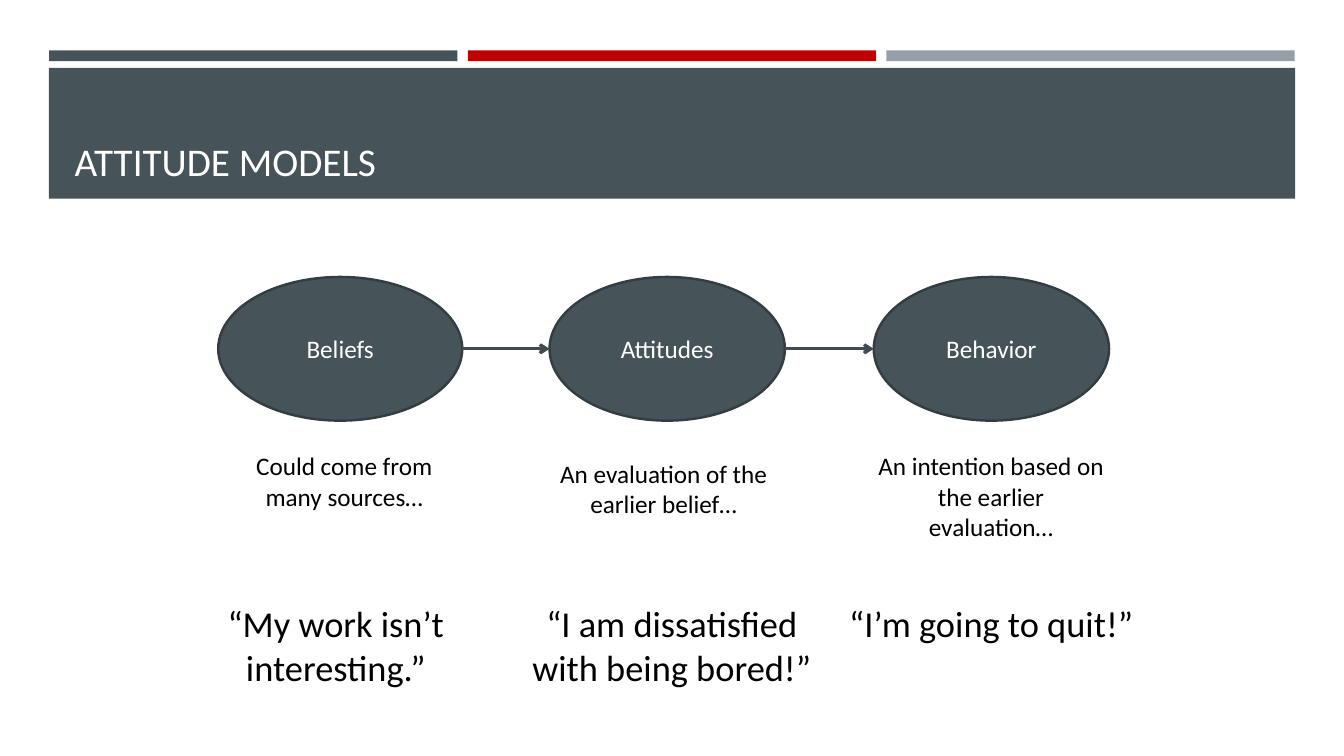
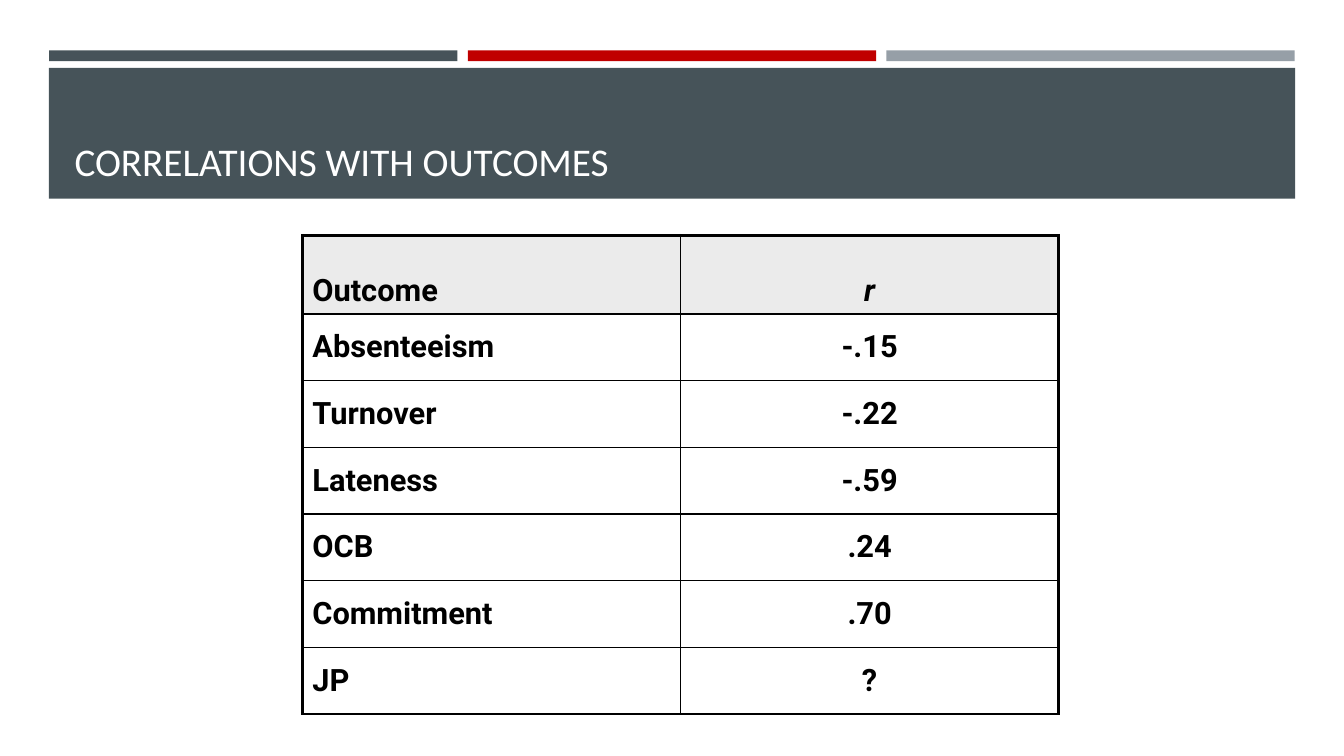
from pptx import Presentation
from pptx.dml.color import RGBColor
from pptx.enum.shapes import MSO_CONNECTOR, MSO_SHAPE
from pptx.enum.text import MSO_ANCHOR, PP_ALIGN
from pptx.oxml.ns import qn
from pptx.util import Cm, Pt
from lxml.etree import SubElement

SLATE = RGBColor(0x46, 0x53, 0x59)
OUTLINE = RGBColor(0x34, 0x3D, 0x42)
ARROW = RGBColor(0x3F, 0x4B, 0x50)
RED = RGBColor(0xC0, 0x00, 0x00)
GREY = RGBColor(0x96, 0x9F, 0xA7)
PALE = RGBColor(0xEB, 0xEB, 0xEB)
WHITE = RGBColor(0xFF, 0xFF, 0xFF)
BLACK = RGBColor(0x00, 0x00, 0x00)

BODY_FONT = "Calibri"
TABLE_FONT = "Roboto"

MODELS_TITLE = "ATTITUDE MODELS"
# name, oval left and width, note, note left and top, quote, quote left (cm)
STAGES = [
    ("Beliefs", 5.5, 6.15,
     "Could come from many sources…", 5.5, 11.23,
     "“My work isn’t interesting.”", 4.23),
    ("Attitudes", 13.85, 5.93,
     "An evaluation of the earlier belief…", 13.55, 11.43,
     "“I am dissatisfied with being bored!”", 12.7),
    ("Behavior", 22.02, 5.93,
     "An intention based on the earlier evaluation…", 21.8, 11.23,
     "“I’m going to quit!”", 20.75),
]
OVAL_TOP, OVAL_HEIGHT = 6.98, 3.62
NOTE_WIDTH, NOTE_HEIGHT = 6.35, 1.8
QUOTE_TOP, QUOTE_WIDTH, QUOTE_HEIGHT = 15.03, 8.47, 2.48

OUTCOMES_TITLE = "CORRELATIONS WITH OUTCOMES"
OUTCOMES = [
    ("Outcome", "r"),
    ("Absenteeism", "-.15"),
    ("Turnover", "-.22"),
    ("Lateness", "-.59"),
    ("OCB", ".24"),
    ("Commitment", ".70"),
    ("JP", "?"),
]
COLUMN_WIDTH, HEADER_HEIGHT, ROW_HEIGHT = 9.53, 1.98, 1.68
THICK, THIN = Pt(2.25), Pt(1)


def write(tf, text, size, color, font=BODY_FONT, align=PP_ALIGN.CENTER):
    p = tf.paragraphs[0]
    p.alignment = align
    r = p.add_run()
    r.text = text
    r.font.name = font
    r.font.size = Pt(size)
    r.font.color.rgb = color
    return r


def add_text(slide, box, text, size, color=BLACK, align=PP_ALIGN.CENTER,
             anchor=MSO_ANCHOR.TOP):
    tf = slide.shapes.add_textbox(*map(Cm, box)).text_frame
    tf.word_wrap = True
    tf.vertical_anchor = anchor
    write(tf, text, size, color, align=align)


def add_filled(slide, kind, box, fill):
    sp = slide.shapes.add_shape(kind, *map(Cm, box))
    sp.shadow.inherit = False
    sp.fill.solid()
    sp.fill.fore_color.rgb = fill
    sp.line.fill.background()
    return sp


def add_titled_slide(prs, title):
    """Add a blank slide with the three stripes and the title band."""
    slide = prs.slides.add_slide(prs.slide_layouts[6])
    for i, color in enumerate((SLATE, RED, GREY)):
        add_filled(slide, MSO_SHAPE.RECTANGLE,
                   (1.24 + i * 10.55, 1.27, 10.29, 0.27), color)
    add_filled(slide, MSO_SHAPE.RECTANGLE, (1.23, 1.71, 31.41, 3.3), SLATE)
    add_text(slide, (1.63, 1.96, 30.63, 2.82), title, 28, WHITE,
             PP_ALIGN.LEFT, MSO_ANCHOR.BOTTOM)
    return slide


def add_oval(slide, name, left, width):
    sp = add_filled(slide, MSO_SHAPE.OVAL,
                    (left, OVAL_TOP, width, OVAL_HEIGHT), SLATE)
    sp.line.color.rgb = OUTLINE
    sp.line.width = Pt(1.75)
    tf = sp.text_frame
    tf.word_wrap = True
    tf.vertical_anchor = MSO_ANCHOR.MIDDLE
    write(tf, name, 18, WHITE)


def add_arrow(slide, start, end):
    y = Cm(OVAL_TOP + OVAL_HEIGHT / 2)
    line = slide.shapes.add_connector(
        MSO_CONNECTOR.STRAIGHT, Cm(start), y, Cm(end), y)
    line.line.color.rgb = ARROW
    line.line.width = Pt(2.25)
    SubElement(line.line._get_or_add_ln(), qn("a:tailEnd"), type="arrow")
    SubElement(line._element.spPr, qn("a:effectLst"))


def set_borders(cell, **widths):
    """Draw black borders; widths are keyed L, R, T, B in that order."""
    tcPr = cell._tc.get_or_add_tcPr()
    for side, width in widths.items():
        ln = SubElement(tcPr, qn(f"a:ln{side}"), w=str(int(width)))
        fill = SubElement(ln, qn("a:solidFill"))
        SubElement(fill, qn("a:srgbClr"), val=str(BLACK))


def build_models(prs):
    slide = add_titled_slide(prs, MODELS_TITLE)
    for name, left, width, note, note_left, note_top, quote, quote_left in STAGES:
        add_oval(slide, name, left, width)
        add_text(slide, (note_left, note_top, NOTE_WIDTH, NOTE_HEIGHT), note, 18)
        add_text(slide, (quote_left, QUOTE_TOP, QUOTE_WIDTH, QUOTE_HEIGHT),
                 quote, 26)
    for stage, following in zip(STAGES, STAGES[1:]):
        add_arrow(slide, stage[1] + stage[2], following[1])


def build_outcomes(prs):
    slide = add_titled_slide(prs, OUTCOMES_TITLE)
    last_row = len(OUTCOMES) - 1
    table = slide.shapes.add_table(
        len(OUTCOMES), 2, Cm(7.62), Cm(5.93), Cm(2 * COLUMN_WIDTH),
        Cm(HEADER_HEIGHT + last_row * ROW_HEIGHT)).table
    table.first_row = table.horz_banding = False
    for column in table.columns:
        column.width = Cm(COLUMN_WIDTH)
    for i, values in enumerate(OUTCOMES):
        header = i == 0
        table.rows[i].height = Cm(HEADER_HEIGHT if header else ROW_HEIGHT)
        for j, value in enumerate(values):
            cell = table.cell(i, j)
            set_borders(cell,
                        L=THICK if j == 0 else THIN,
                        R=THICK if j == 1 else THIN,
                        T=THICK if header else THIN,
                        B=THICK if i == last_row else THIN)
            if header:
                cell.fill.solid()
                cell.fill.fore_color.rgb = PALE
            else:
                cell.fill.background()
            cell.vertical_anchor = MSO_ANCHOR.BOTTOM if header else MSO_ANCHOR.MIDDLE
            r = write(cell.text_frame, value, 22, BLACK, TABLE_FONT,
                      PP_ALIGN.CENTER if j else PP_ALIGN.LEFT)
            r.font.bold = True
            r.font.italic = header and j == 1


def main():
    prs = Presentation()
    prs.slide_width, prs.slide_height = Cm(33.87), Cm(19.05)
    build_models(prs)
    build_outcomes(prs)
    prs.save("out.pptx")


if __name__ == "__main__":
    main()
